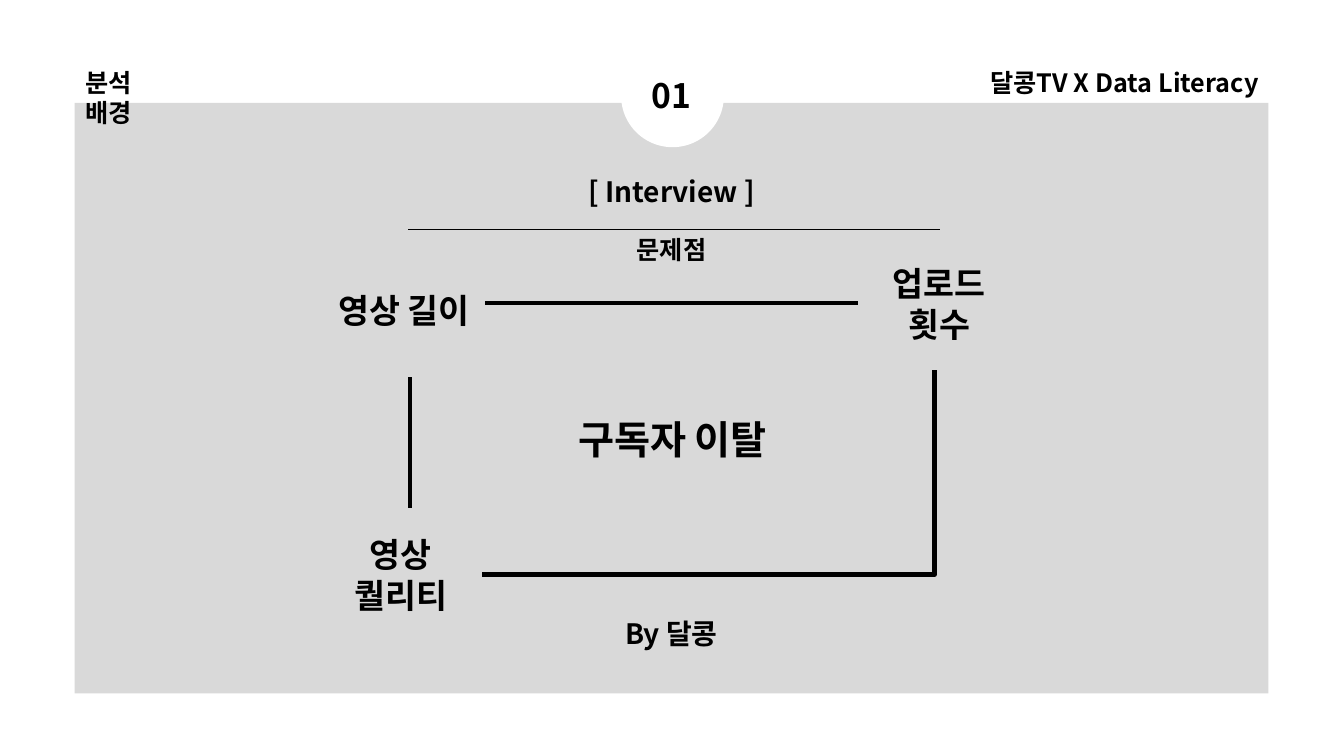
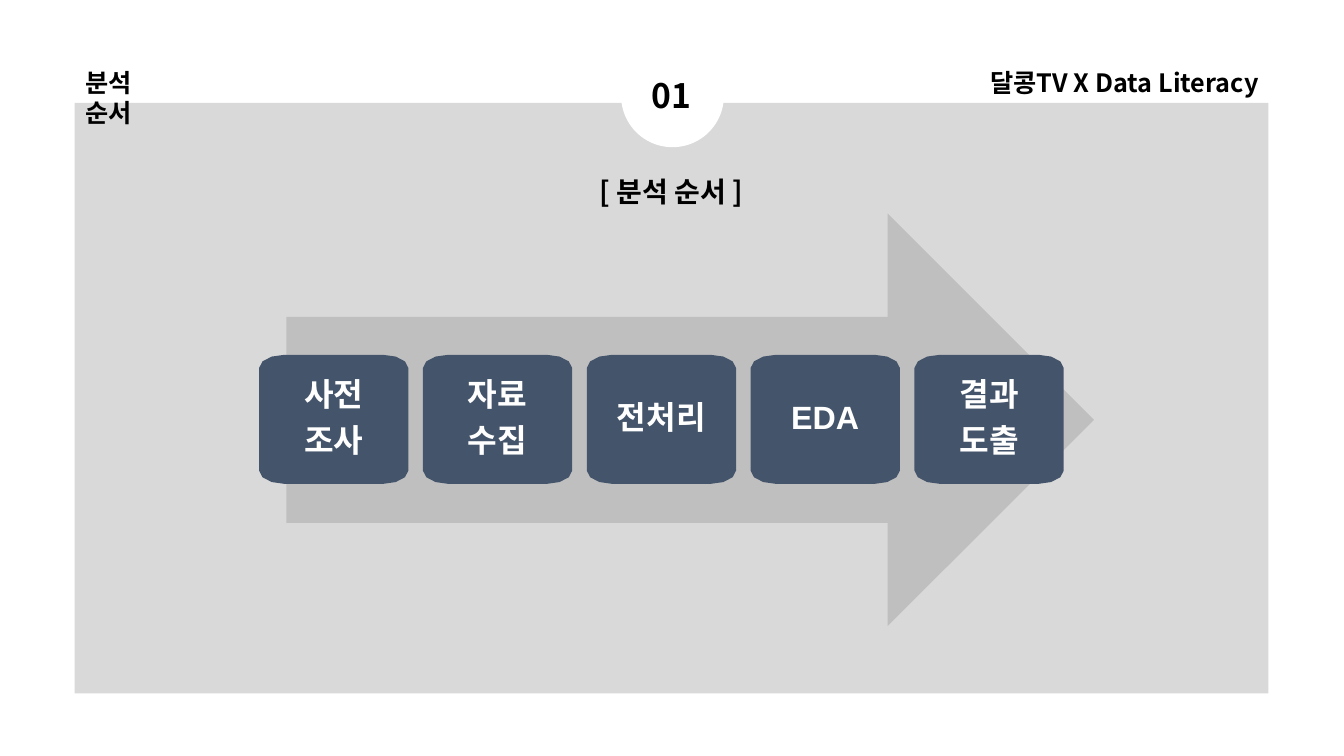
from math import cos, pi, sin

from lxml.etree import SubElement
from pptx import Presentation
from pptx.dml.color import RGBColor
from pptx.enum.shapes import MSO_CONNECTOR, MSO_SHAPE as SHAPE
from pptx.enum.text import MSO_ANCHOR as ANCHOR, PP_ALIGN as ALIGN
from pptx.oxml.ns import qn
from pptx.util import Inches, Pt

BLACK, WHITE, PANEL, ARROW, NAVY = "000000", "FFFFFF", "D9D9D9", "BFBFBF", "44546A"
KOREAN_FONT = "Noto Sans CJK KR"


def paint(shape, fill=None, line=None):
    shape.shadow.inherit = False
    for target, color in ((shape.fill, fill), (shape.line.fill, line)):
        if color:
            target.solid()
            target.fore_color.rgb = RGBColor.from_string(color)
        else:
            target.background()


def write(shape, lines, size, color=BLACK, font=KOREAN_FONT, anchor=ANCHOR.TOP, **paragraph_format):
    frame = shape.text_frame
    frame.word_wrap = True
    frame.vertical_anchor = anchor
    for index, line in enumerate(lines):
        paragraph = frame.add_paragraph() if index else frame.paragraphs[0]
        for name, value in {"alignment": ALIGN.CENTER, **paragraph_format}.items():
            setattr(paragraph, name, value)
        run = paragraph.add_run()
        run.text = line
        for name, value in {"size": Pt(size), "bold": True, "name": font}.items():
            setattr(run.font, name, value)
        run.font.color.rgb = RGBColor.from_string(color)
        SubElement(run.font._element, qn("a:ea"), typeface=KOREAN_FONT)


presentation = Presentation()
presentation.slide_width = Inches(13.33)
presentation.slide_height = Inches(7.5)

slides = []
for section, heading in (("분석 배경", "[ Interview ]"), ("분석 순서", "[ 분석 순서 ]")):
    slide = presentation.slides.add_slide(presentation.slide_layouts[6])
    slides.append(slide)
    panel = slide.shapes.add_shape(
        SHAPE.RECTANGLE, Inches(0.74), Inches(1.02), Inches(11.84), Inches(5.86))
    paint(panel, PANEL)

    section_box = slide.shapes.add_textbox(Inches(0.75), Inches(0.62), Inches(0.86), Inches(0.4))
    write(section_box, [section], 18, alignment=ALIGN.LEFT)
    project_box = slide.shapes.add_textbox(Inches(9.59), Inches(0.62), Inches(2.99), Inches(0.4))
    write(project_box, ["달콩TV X Data Literacy"], 18, alignment=ALIGN.RIGHT)

    badge = slide.shapes.add_group_shape()
    circle = badge.shapes.add_shape(
        SHAPE.OVAL, Inches(6.16), Inches(0.44), Inches(1.02), Inches(1.02))
    paint(circle, WHITE)
    number = badge.shapes.add_textbox(Inches(6.07), Inches(0.69), Inches(1.18), Inches(0.5))
    write(number, ["01"], 24)

    heading_box = slide.shapes.add_textbox(Inches(4.81), Inches(1.68), Inches(3.7), Inches(0.44))
    write(heading_box, [heading], 20)

background_slide, process_slide = slides

problems = (
    ("구독자 이탈", 28, 4.07, 3.01, 5.2, 2.69, None, BLACK),
    ("영상 길이", 24, 3.2, 2.42, 1.61, 1.32, PANEL, None),
    ("영상 퀄리티", 24, 3.17, 5.04, 1.61, 1.32, PANEL, None),
    ("업로드 횟수", 24, 8.51, 2.35, 1.61, 1.32, PANEL, None),
)
for label, size, left, top, width, height, fill, line in problems:
    box = background_slide.shapes.add_shape(
        SHAPE.RECTANGLE, Inches(left), Inches(top), Inches(width), Inches(height))
    paint(box, fill, line)
    if line:
        box.line.width = Pt(3)
    write(box, [label], size, anchor=ANCHOR.MIDDLE)

for caption, size, top in (("By 달콩", 20, 6.07), ("문제점", 18, 2.28)):
    caption_box = background_slide.shapes.add_textbox(
        Inches(4.81), Inches(top), Inches(3.7), Inches(0.44))
    write(caption_box, [caption], size)

rule = background_slide.shapes.add_connector(
    MSO_CONNECTOR.STRAIGHT, Inches(4.05), Inches(2.28), Inches(9.32), Inches(2.28))
rule.line.width = Pt(0.5)
rule.line.color.rgb = RGBColor.from_string(BLACK)
SubElement(rule._element.spPr, qn("a:effectLst"))

arrow = process_slide.shapes.add_shape(
    SHAPE.RIGHT_ARROW, Inches(2.84), Inches(2.12), Inches(8.01), Inches(4.09))
paint(arrow, ARROW)

STEP_LEFT, STEP_RIGHT, STEP_TOP, STEP_WIDTH, STEP_HEIGHT = 2.57, 10.55, 3.52, 1.48, 1.28
RADIUS_X, RADIUS_Y, ARC_STEPS = 0.25, 0.13, 3
corners = (
    (STEP_WIDTH - RADIUS_X, STEP_HEIGHT - RADIUS_Y),
    (RADIUS_X, STEP_HEIGHT - RADIUS_Y),
    (RADIUS_X, RADIUS_Y),
    (STEP_WIDTH - RADIUS_X, RADIUS_Y),
)
steps = (["사전", "조사"], ["자료", "수집"], ["전처리"], ["EDA"], ["결과", "도출"])
pitch = (STEP_RIGHT - STEP_LEFT - STEP_WIDTH) / (len(steps) - 1)
for column, lines in enumerate(steps):
    left = STEP_LEFT + column * pitch
    outline = []
    for quarter, (center_x, center_y) in enumerate(corners):
        for arc_step in range(ARC_STEPS + 1):
            angle = (quarter + arc_step / ARC_STEPS) * pi / 2
            outline.append((Inches(left + center_x + RADIUS_X * cos(angle)),
                            Inches(STEP_TOP + center_y + RADIUS_Y * sin(angle))))
    builder = process_slide.shapes.build_freeform(*outline[0])
    builder.add_line_segments(outline[1:], close=True)
    step = builder.convert_to_shape()
    paint(step, NAVY)
    for side in ("left", "top", "right", "bottom"):
        setattr(step.text_frame, f"margin_{side}", Inches(0.17))
    write(step, lines, 23, WHITE, "Arial", ANCHOR.MIDDLE, line_spacing=0.9, space_after=Pt(8))

presentation.save("out.pptx")
